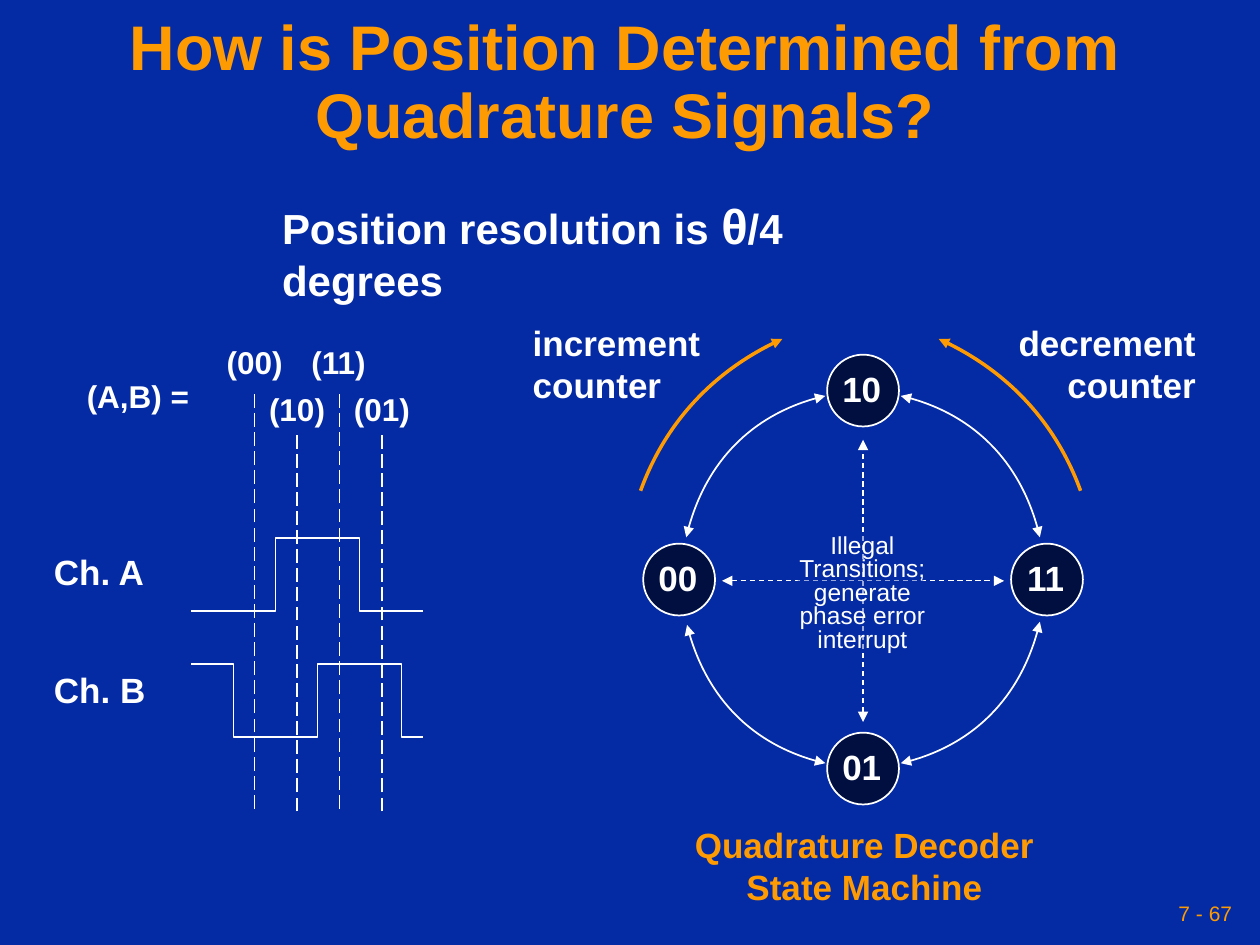
from copy import deepcopy
from dataclasses import dataclass
from math import cos, radians, sin, tan

from lxml import etree
from pptx import Presentation, util as u
from pptx.dml.color import RGBColor
from pptx.enum import dml, shapes, text
from pptx.oxml.ns import qn


@dataclass(frozen=True)
class Theme:
    ground: str = "042AA4"
    accent: str = "FE9B03"
    ink: str = "FFFFFF"
    node: str = "000F40"
    font: str = "Arial"
    symbol_font: str = "Times New Roman"
    title: int = 36
    lead: int = 24
    symbol: int = 28
    label: int = 20
    sample: int = 18
    note: int = 14
    number: int = 12


T = Theme()
LEFT, CENTER, RIGHT = text.PP_ALIGN.LEFT, text.PP_ALIGN.CENTER, text.PP_ALIGN.RIGHT

TITLE = "How is Position Determined from Quadrature Signals?"
LEAD = [("Position resolution is", T.lead, T.font), (" ", T.symbol, T.symbol_font),
        ("θ", T.symbol, T.font), ("/4", T.lead, T.font),
        (" ", T.symbol, T.symbol_font), ("degrees", T.lead, T.font)]
NOTE = "Illegal Transitions; generate phase error interrupt"

# lines, (left, top, width, height), size, colour, alignment, wrap
LABELS = [
    (["(A,B) ="], (0.59, 2.94, 1.01, 0.4), T.sample, T.ink, LEFT, False),
    (["increment", "counter"], (4.13, 2.5, 1.53, 0.76), T.label, T.ink, LEFT, False),
    (["decrement", "counter"], (7.98, 2.5, 1.61, 0.76), T.label, T.ink, RIGHT, False),
    (["Quadrature Decoder", "State Machine"], (5.2, 6.49, 3.32, 0.76),
     T.label, T.accent, CENTER, True),
]

# Timing chart: one column is a quarter of a signal period
SAMPLES = ["(00)", "(10)", "(11)", "(01)"]
SAMPLE_X, SAMPLE_STEP = 2.02, 0.337
WAVE_X, WAVE_END, QUARTER, SWING = 1.52, 3.36, 1 / 3, 0.58
# name, label top, high level, starts high, columns of the edges
CHANNELS = [("Ch. A", 4.32, 4.27, False, [2, 4]),
            ("Ch. B", 5.26, 5.27, True, [1, 3, 5])]

# State machine: everything is placed around one centre
HUB_X, HUB_Y = 6.85, 4.6
NODE = 0.57
STATES = [("00", -1, 0), ("01", 0, 1), ("11", 1, 0), ("10", 0, -1)]
REACH_X, REACH_Y, AXIS, AXIS_DROP = 1.46, 1.5, 1.12, 0.01
BOTH, HEAD, TAIL = ("headEnd", "tailEnd"), ("headEnd",), ("tailEnd",)
# centre x, x radius, y radius, from degree, to degree, colour, width, arrowheads
ARCS = [(HUB_X, 1.44, 1.49, start, end, T.ink, 1, BOTH)
        for start, end in [(193, 258), (102, 166), (282, 347), (13, 78)]]
ARCS += [(7.1, 2.14, 2.1, 199.6, 245.4, T.accent, 2, TAIL),
         (6.56, 2.14, 2.1, 294.6, 340.4, T.accent, 2, HEAD)]


def apply(target, **values):
    for name, value in values.items():
        setattr(target, name, value)


def inches(*values):
    return [u.Inches(value) for value in values]


def style_font(font, size, color=T.ink, bold=True, name=T.font):
    apply(font, size=u.Pt(size), bold=bold, name=name)
    font.color.rgb = RGBColor.from_string(color)


def style_line(shape, color=T.ink, width=1, dash=None, arrows=()):
    shape.line.fill.solid()
    shape.line.fill.fore_color.rgb = RGBColor.from_string(color)
    shape.line.width = u.Pt(width)
    if dash:
        shape.line.dash_style = dash
    outline = shape._element.spPr.find(qn("a:ln"))
    for end in arrows:
        etree.SubElement(outline, qn("a:" + end), type="triangle")


def fill(shape, color):
    shape.fill.solid()
    shape.fill.fore_color.rgb = RGBColor.from_string(color)


def add_text(page, lines, area, size, color=T.ink, align=LEFT, wrap=False, bold=True):
    box = page.shapes.add_textbox(*inches(*area))
    frame = box.text_frame
    apply(frame, text="\n".join(lines), word_wrap=wrap,
          auto_size=text.MSO_AUTO_SIZE.SHAPE_TO_FIT_TEXT)
    for para in frame.paragraphs:
        para.alignment = align
        style_font(para.font, size, color, bold)
    return box


def add_line(page, start, end, **line):
    connector = page.shapes.add_connector(
        shapes.MSO_CONNECTOR.STRAIGHT, *inches(*start, *end))
    style_line(connector, **line)
    etree.SubElement(connector._element.spPr, qn("a:effectLst"))


def add_preset(page, kind, center_x, center_y, width, height):
    shape = page.shapes.add_shape(kind, *inches(
        center_x - width / 2, center_y - height / 2, width, height))
    shape.shadow.inherit = False
    return shape


def add_outline(page, points, **line):
    first, *rest = [inches(*point) for point in points]
    builder = page.shapes.build_freeform(*first)
    builder.add_line_segments(rest, close=False)
    outline = builder.convert_to_shape()
    outline.shadow.inherit = False
    outline.fill.background()
    style_line(outline, **line)
    return outline


def add_arc(page, x, radius_x, radius_y, start, end, color, width, arrows):
    """Draw a stroked curve whose frame reaches to the centre of its ellipse."""
    start, end = radians(start), radians(end)
    pull = 4 / 3 * tan((end - start) / 4)

    def at(angle, shift):
        return (x + radius_x * (cos(angle) - shift * sin(angle)),
                HUB_Y + radius_y * (sin(angle) + shift * cos(angle)))

    points = [at(start, 0), at(start, pull), at(end, -pull), at(end, 0), (x, HUB_Y)]
    arc = add_outline(page, points, color=color, width=width, arrows=arrows)
    curve = arc._element.spPr.find(".//" + qn("a:path"))
    move, *steps, to_hub = list(curve)
    bend = etree.Element(qn("a:cubicBezTo"))
    for step in steps:
        bend.append(step[0])
        curve.remove(step)
    move.addnext(bend)
    sector = deepcopy(curve)
    sector.set("stroke", "0")
    etree.SubElement(sector, qn("a:close"))
    curve.remove(to_hub)
    curve.addnext(sector)


def add_headings(page):
    title = page.shapes.title
    apply(title, **dict(zip(("left", "top", "width", "height"),
                            inches(0, 0.25, 9.92, 0.83))))
    apply(title.text_frame, text=TITLE, word_wrap=True,
          auto_size=text.MSO_AUTO_SIZE.NONE, vertical_anchor=text.MSO_ANCHOR.MIDDLE)
    para = title.text_frame.paragraphs[0]
    apply(para, alignment=CENTER, line_spacing=0.9)
    style_font(para.font, T.title, T.accent)

    lead = add_text(page, [""], (2.14, 1.5, 5.4, 0.56), T.lead, wrap=True)
    for words, size, name in LEAD:
        span = lead.text_frame.paragraphs[0].add_run()
        span.text = words
        style_font(span.font, size, name=name)

    number = add_text(page, ["7 - 67"], (6.83, 7.08, 3, 0.33), T.number, T.accent,
                      RIGHT, True, bold=False)
    apply(number.text_frame, margin_left=u.Inches(0.05), margin_right=u.Inches(0.05),
          vertical_anchor=text.MSO_ANCHOR.MIDDLE, auto_size=text.MSO_AUTO_SIZE.NONE)


def add_timing_chart(page):
    for index, code in enumerate(SAMPLES):
        x, low = SAMPLE_X + index * SAMPLE_STEP, index % 2
        add_line(page, (x, 6.44 if low else 6.42), (x, 3.43 if low else 3.09),
                 dash=dml.MSO_LINE.LONG_DASH)
        add_text(page, [code], (x - 0.32, 3.05 if low else 2.67, 0.66, 0.4), T.sample)

    for name, label_top, top, high, edges in CHANNELS:
        add_text(page, [name], (0.33, label_top, 0.93, 0.43), T.label)
        levels = {True: top, False: top + SWING}
        points = [(WAVE_X, levels[high])]
        for column in edges:
            x = WAVE_X + column * QUARTER
            points += [(x, levels[high]), (x, levels[not high])]
            high = not high
        add_outline(page, points + [(WAVE_END, levels[high])])


def add_state_machine(page):
    for code, column, row in STATES:
        node = add_preset(page, shapes.MSO_SHAPE.OVAL, HUB_X + column * REACH_X,
                          HUB_Y + row * REACH_Y, NODE, NODE)
        fill(node, T.node)
        style_line(node)
        apply(node.text_frame, text=code, word_wrap=False, margin_left=0,
              margin_right=u.Inches(0.02), margin_top=0, margin_bottom=u.Inches(0.04),
              vertical_anchor=text.MSO_ANCHOR.MIDDLE)
        para = node.text_frame.paragraphs[0]
        para.alignment = CENTER
        style_font(para.font, T.label)

    for arc in ARCS:
        add_arc(page, *arc)

    axis_y = HUB_Y + AXIS_DROP
    for dx, dy in [(AXIS, 0), (0, -AXIS)]:
        add_line(page, (HUB_X - dx, axis_y - dy), (HUB_X + dx, axis_y + dy),
                 width=0.75, dash=dml.MSO_LINE.DASH, arrows=BOTH)

    veil = add_preset(page, shapes.MSO_SHAPE.RECTANGLE, HUB_X - 0.02, 4.7, 1, 0.91)
    fill(veil, T.ground)
    veil.line.fill.background()
    tint = veil._element.spPr.find(".//" + qn("a:srgbClr"))
    etree.SubElement(tint, qn("a:alpha"), val="40000")
    note = add_text(page, [NOTE], (6.18, 4.2, 1.33, 1.04), T.note, align=CENTER,
                    wrap=True, bold=False)
    note.text_frame.paragraphs[0].line_spacing = 0.8


def main():
    deck = Presentation()
    apply(deck, slide_width=u.Inches(10), slide_height=u.Inches(7.5))
    page = deck.slides.add_slide(deck.slide_layouts[5])
    fill(page.background, T.ground)
    add_headings(page)
    add_timing_chart(page)
    add_state_machine(page)
    for label in LABELS:
        add_text(page, *label)
    deck.save("out.pptx")


if __name__ == "__main__":
    main()
